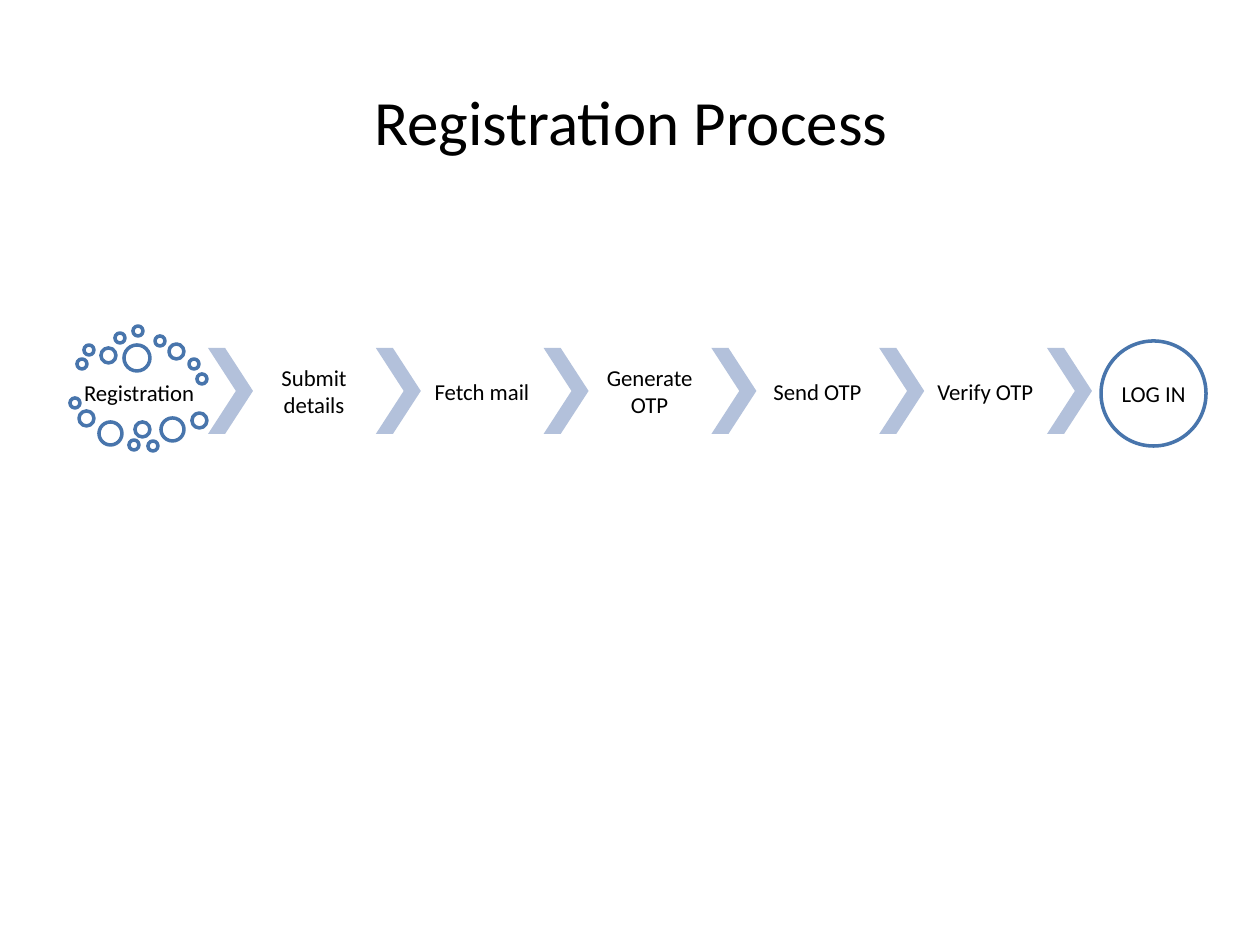
import pptx
import pptx.util
import pptx.dml.color
import pptx.enum.shapes
import pptx.enum.text

# Content
TITLE = "Registration Process"
START, END = "Registration", "LOG IN"
STEPS = ["Submit details", "Fetch mail", "Generate OTP", "Send OTP", "Verify OTP"]

# Bubbles around the start label: diameter -> (left, top), all in px
BUBBLES = {
    10: [(77, 359), (84, 345), (115, 333), (133, 326), (155, 336), (189, 359),
         (197, 374), (70, 398), (129, 440), (148, 441)],
    15: [(101, 348), (169, 344), (79, 411), (135, 422), (192, 413)],
    23: [(99, 422), (161, 418)],
    26: [(124, 345)],
}

THEME = {
    "font": "Calibri", "title_size": 36, "label_size": 13, "line_width": 2,
    "text": "000000", "outline": "4875AC", "chevron": "B3C1DB", "white": "FFFFFF",
}
TITLE_BOX = (64, 76, 1134, 158)
START_BOX = (78, 372, 122, 40)
END_BOX = (1101, 341, 105, 105)
FIRST_X, LAST_X, ROW_Y = 208, 1047, 348
CHEVRON_W, LABEL_W, ROW_H = 45, 122, 86
PX = 914400 / 126

MSO = pptx.enum.shapes.MSO_SHAPE
ANCHOR = pptx.enum.text.MSO_ANCHOR


def emu(box):
    return [round(v * PX) for v in box]


def rgb(name):
    return pptx.dml.color.RGBColor.from_string(THEME[name])


def write(sp, text, size, frame):
    tf = sp.text_frame
    for name, value in frame.items():
        setattr(tf, name, value)
    p = tf.paragraphs[0]
    p.alignment = pptx.enum.text.PP_ALIGN.CENTER
    r = p.add_run()
    r.text = text
    font = {"name": THEME["font"], "size": pptx.util.Pt(THEME[size])}
    for name, value in font.items():
        setattr(r.font, name, value)
    r.font.color.rgb = rgb("text")


def label(sp, text, margin):
    sides = ("left", "top", "right", "bottom")
    frame = {f"margin_{side}": round(margin * PX) for side in sides}
    frame.update(word_wrap=True, vertical_anchor=ANCHOR.MIDDLE)
    write(sp, text, "label_size", frame)


def shape(s, kind, box, fill, outline=None):
    sp = s.shapes.add_shape(kind, *emu(box))
    sp.shadow.inherit = False
    sp.fill.solid()
    sp.fill.fore_color.rgb = rgb(fill)
    if outline:
        sp.line.color.rgb = rgb(outline)
        sp.line.width = pptx.util.Pt(THEME["line_width"])
    else:
        sp.line.fill.background()
    return sp


def circle(s, box):
    return shape(s, MSO.OVAL, box, "white", "outline")


prs = pptx.Presentation()
prs.slide_width, prs.slide_height = emu((1260, 945))
s = prs.slides.add_slide(prs.slide_layouts[5])

# Title
title = s.shapes.title
title.left, title.top, title.width, title.height = emu(TITLE_BOX)
write(title, TITLE, "title_size", {
    "word_wrap": True, "vertical_anchor": ANCHOR.TOP,
    "auto_size": pptx.enum.text.MSO_AUTO_SIZE.NONE})

# Start: label ringed by bubbles
label(s.shapes.add_textbox(*emu(START_BOX)), START, 2)
for size, corners in BUBBLES.items():
    for x, y in corners:
        circle(s, (x, y, size, size))

# Chevrons, each but the last followed by a step
pitch = (LAST_X - FIRST_X) / len(STEPS)
for i in range(len(STEPS) + 1):
    x = FIRST_X + i * pitch
    chevron = shape(s, MSO.CHEVRON, (x, ROW_Y, CHEVRON_W, ROW_H), "chevron")
    chevron.adjustments[0] = 0.62
    if i < len(STEPS):
        box = (x + CHEVRON_W, ROW_Y, LABEL_W, ROW_H)
        label(s.shapes.add_textbox(*emu(box)), STEPS[i], 2)

# End circle
label(circle(s, END_BOX), END, 0)

prs.save("out.pptx")
